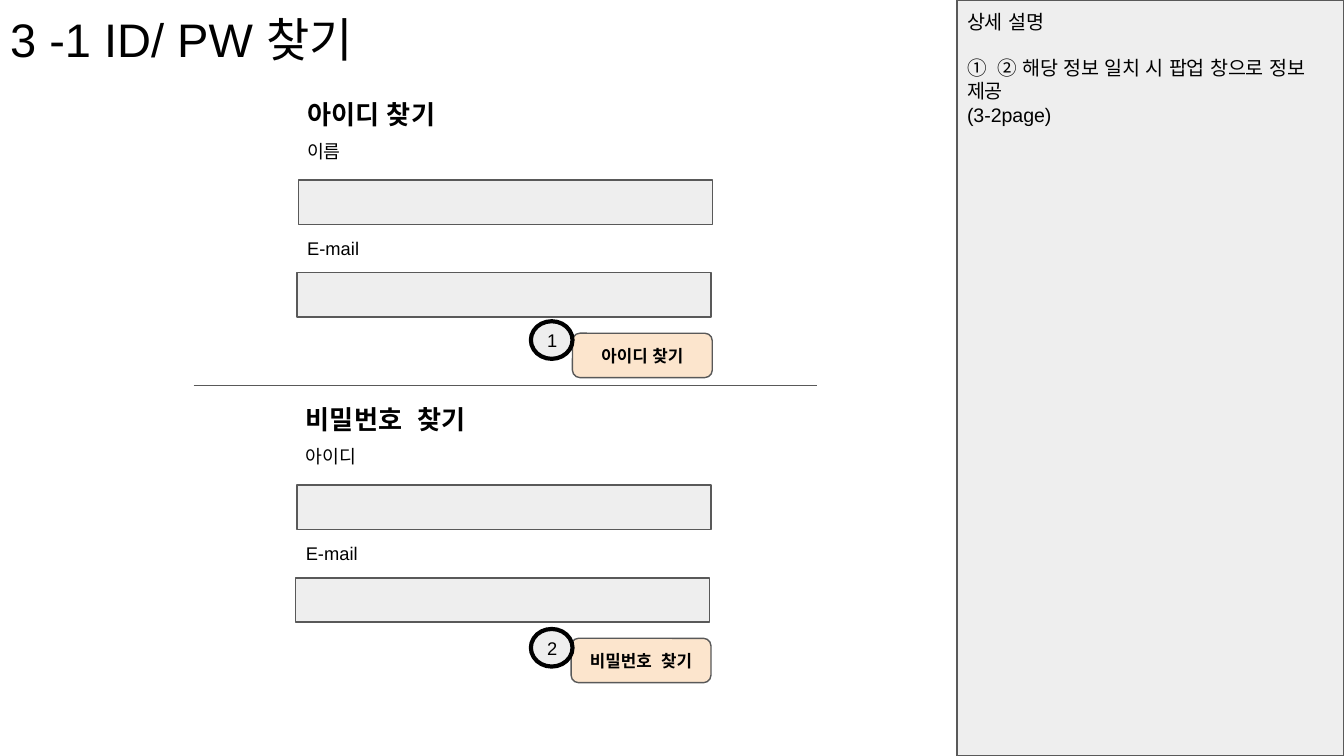
import pptx
import pptx.util
import pptx.dml.color
import pptx.enum.shapes
import pptx.enum.text
import pptx.oxml

Inches = pptx.util.Inches
Pt = pptx.util.Pt
RGBColor = pptx.dml.color.RGBColor
Kind = pptx.enum.shapes.MSO_SHAPE
Anchor = pptx.enum.text.MSO_ANCHOR
Align = pptx.enum.text.PP_ALIGN

BLACK = RGBColor(0x00, 0x00, 0x00)
GRAY = RGBColor(0xEE, 0xEE, 0xEE)
EDGE = RGBColor(0x59, 0x59, 0x59)
PEACH = RGBColor(0xFC, 0xE5, 0xCD)

WIDE = 10
HIGH = WIDE * 9 / 16
ROW = 0.33
FONT = "Arial"
SPACE = 'xmlns:a="http://schemas.openxmlformats.org/drawingml/2006/main"'
PAD = Pt(5.4)
FRAME = {"margin_left": PAD, "margin_top": PAD, "margin_right": PAD,
         "margin_bottom": PAD, "word_wrap": True}


def apply(item, values):
    for name, value in values.items():
        setattr(item, name, value)


def write(shape, lines, size, bold=False, center=False, gap=0):
    frame = shape.text_frame
    anchor = Anchor.MIDDLE if center else Anchor.TOP
    apply(frame, FRAME | {"vertical_anchor": anchor})
    for index, line in enumerate(lines):
        para = frame.paragraphs[0] if index == 0 else frame.add_paragraph()
        para.alignment = Align.CENTER if center else Align.LEFT
        if index == 1 and gap:
            para.space_before = Pt(gap)
        run = para.add_run()
        run.text = line
        apply(run.font, {"name": FONT, "size": Pt(size), "bold": bold})
        run.font.color.rgb = BLACK
        for tag in ("ea", "cs"):
            run._r.get_or_add_rPr().append(pptx.oxml.parse_xml(
                f'<a:{tag} {SPACE} typeface="{FONT}"/>'))


def label(slide, box, text, size, bold=False):
    shape = slide.shapes.add_textbox(*map(Inches, box))
    write(shape, [text], size, bold)


def block(slide, kind, box, fill=GRAY, edge=EDGE, width=0.75):
    shape = slide.shapes.add_shape(kind, *map(Inches, box))
    shape.shadow.inherit = False
    shape.fill.solid()
    shape.fill.fore_color.rgb = fill
    shape.line.color.rgb = edge
    shape.line.width = Pt(width)
    return shape


def form(slide, left, top, width, title, names):
    label(slide, (left, top, width, ROW), title, 14, True)
    for index, name in enumerate(names):
        label(slide, (left, top + 0.31 + index * 0.72, 1.25, ROW), name, 9.8)
        field = (left + 0.01 - index * 0.01, top + 0.68 + index * 0.69,
                 3.08, ROW)
        block(slide, Kind.RECTANGLE, field)
    button = block(slide, Kind.ROUNDED_RECTANGLE,
                   (left + 2.05, top + 1.82, 1.04, ROW), PEACH)
    write(button, [title], 9, True, True)


def badge(slide, left, top, text):
    circle = block(slide, Kind.OVAL, (left, top, 0.31, 0.28),
                   GRAY, BLACK, 2.25)
    write(circle, [text], 9.8, center=True)


def divide(slide, left, top, width):
    line = slide.shapes.add_connector(
        pptx.enum.shapes.MSO_CONNECTOR.STRAIGHT,
        *map(Inches, (left, top, left + width, top)))
    line.line.color.rgb = EDGE
    line.line.width = Pt(0.75)
    line._element.spPr.append(pptx.oxml.parse_xml(f'<a:effectLst {SPACE}/>'))


def panel(slide, left, top, width, height):
    shape = block(slide, Kind.RECTANGLE, (left, top, width, height))
    write(shape, ["상세 설명", "①  ② 해당 정보 일치 시 팝업 창으로 정보 제공",
                  "(3-2page)"], 10.5, gap=12)


def main():
    deck = pptx.Presentation()
    apply(deck, {"slide_width": Inches(WIDE), "slide_height": Inches(HIGH)})
    slide = deck.slides.add_slide(deck.slide_layouts[6])
    label(slide, (0, 0, 6.31, 0.44), "3 -1 ID/ PW 찾기", 25.2)
    form(slide, 2.21, 0.66, 1.25, "아이디 찾기", ["이름", "E-mail"])
    panel(slide, 7.12, 0, 2.88, HIGH)
    badge(slide, 3.95, 2.39, "1")
    divide(slide, 1.44, 2.87, 4.64)
    form(slide, 2.2, 2.93, 1.55, "비밀번호  찾기", ["아이디", "E-mail"])
    badge(slide, 3.95, 4.68, "2")
    deck.save("out.pptx")


if __name__ == "__main__":
    main()
